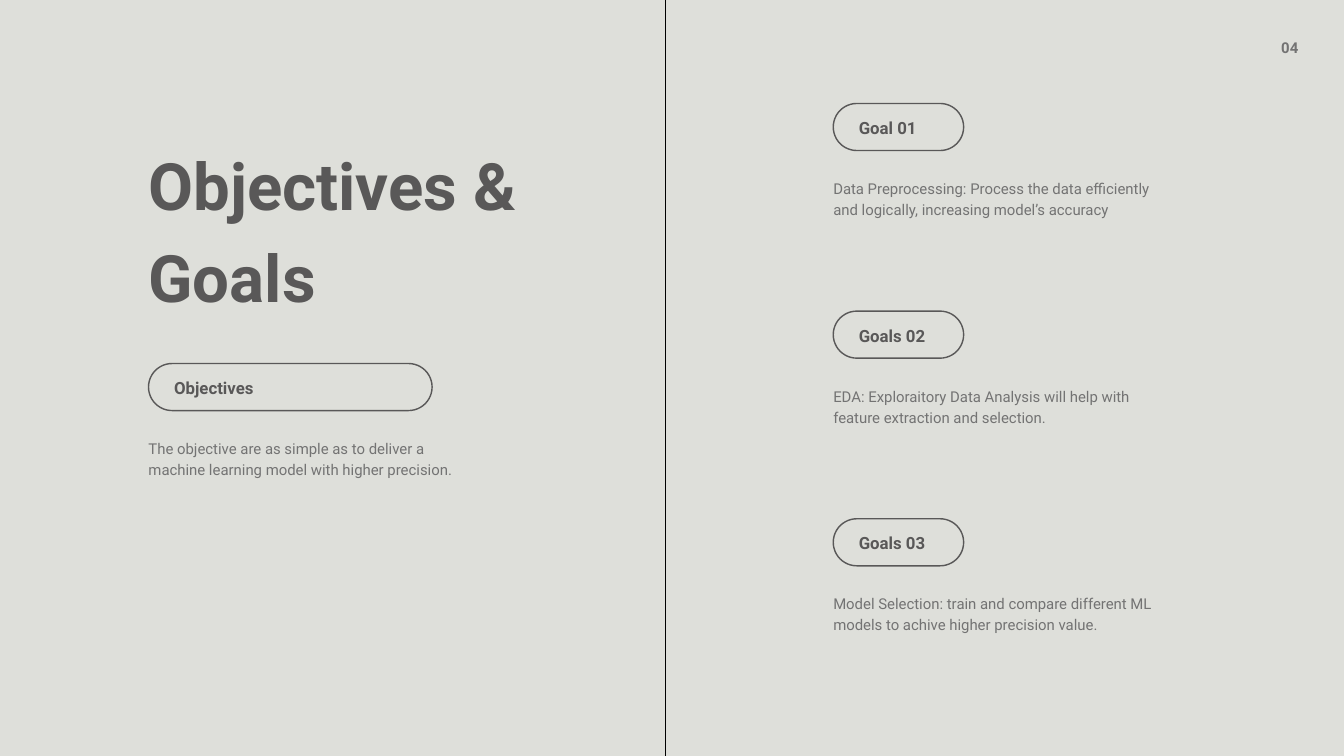
from pptx import Presentation
from pptx.dml import color
from pptx.enum import shapes, text
from pptx.oxml import ns
from pptx.util import Inches, Pt

DARK, GRAY = "595858", "737373"
STYLES = {
    "title": {"size": Pt(70), "bold": True, "lead": 98, "hue": DARK},
    "label": {"size": Pt(18), "bold": True, "lead": 25.2, "hue": DARK},
    "body": {"size": Pt(16), "bold": False, "lead": 22.4, "hue": GRAY},
    "page": {"size": Pt(16), "bold": True, "lead": 22.4, "hue": GRAY},
}
GOALS = [
    ("Goal 01", "Data Preprocessing: Process the data efficiently and logically, increasing model’s accuracy"),
    ("Goals 02", "EDA: Exploraitory Data Analysis will help with feature extraction and selection."),
    ("Goals 03", "Model Selection: train and compare different ML models to achive higher precision value."),
]


def rgb(code):
    return color.RGBColor.from_string(code)


def write(shape, words, style, align=text.PP_ALIGN.LEFT):
    look = STYLES[style]
    frame = shape.text_frame
    frame.text = words
    setup = {
        "word_wrap": True,
        "auto_size": text.MSO_AUTO_SIZE.NONE,
        "vertical_anchor": text.MSO_ANCHOR.TOP,
        "margin_left": 0,
        "margin_top": 0,
        "margin_right": 0,
        "margin_bottom": 0,
    }
    for key, value in setup.items():
        setattr(frame, key, value)
    line = frame.paragraphs[0]
    line.alignment = align
    line.line_spacing = Pt(look["lead"])
    font = line.runs[0].font
    for key, value in {"name": "Roboto", "size": look["size"], "bold": look["bold"]}.items():
        setattr(font, key, value)
    font.color.rgb = rgb(look["hue"])


def add_title(slide, words, left, top, width, height):
    title = slide.shapes.title
    place = {"left": left, "top": top, "width": width, "height": height}
    for key, value in place.items():
        setattr(title, key, Inches(value))
    write(title, words, "title")


def add_text(slide, words, style, left, top, width, height, align=text.PP_ALIGN.LEFT):
    box = slide.shapes.add_textbox(*map(Inches, (left, top, width, height)))
    write(box, words, style, align)


def add_pill(slide, left, top, width):
    pill = slide.shapes.add_shape(
        shapes.MSO_SHAPE.ROUNDED_RECTANGLE, *map(Inches, (left, top, width, 0.7)))
    pill.adjustments[0] = 0.5
    pill.shadow.inherit = False
    pill.fill.background()
    pill.line.color.rgb = rgb(DARK)
    pill.line.width = Pt(1.5)


def add_item(slide, label, body, left, top, width, span):
    add_pill(slide, left, top, width)
    add_text(slide, label, "label", left + 0.38, top + 0.16, span, 0.34)
    add_text(slide, body, "body", left, top + 1.09, 4.84, 0.9)


def add_rule(slide, left, top, end):
    rule = slide.shapes.add_connector(
        shapes.MSO_CONNECTOR.STRAIGHT, *map(Inches, (left, top, left, end)))
    rule.line.color.rgb = rgb("000000")
    rule.line.width = Pt(0.75)
    props = rule.element.find(ns.qn("p:spPr"))
    props.append(props.makeelement(ns.qn("a:effectLst"), {}))


def main():
    deck = Presentation()
    deck.slide_width, deck.slide_height = Inches(20), Inches(11.25)
    slide = deck.slides.add_slide(deck.slide_layouts[5])
    fill = slide.background.fill
    fill.solid()
    fill.fore_color.rgb = rgb("DEDFDA")

    add_title(slide, "Objectives & Goals", 2.21, 1.97, 6.11, 2.7)
    add_item(slide, "Objectives",
             "The objective are as simple as to deliver a machine learning model with higher precision.",
             2.21, 5.41, 4.22, 2.46)
    for row, (label, body) in enumerate(GOALS):
        add_item(slide, label, body, 12.4, 1.54 + row * 3.09, 1.94, 1.56)
    add_rule(slide, 9.9, 0, 11.25)
    add_text(slide, "04", "page", 18.64, 0.53, 0.68, 0.3, text.PP_ALIGN.RIGHT)
    deck.save("out.pptx")


if __name__ == "__main__":
    main()
